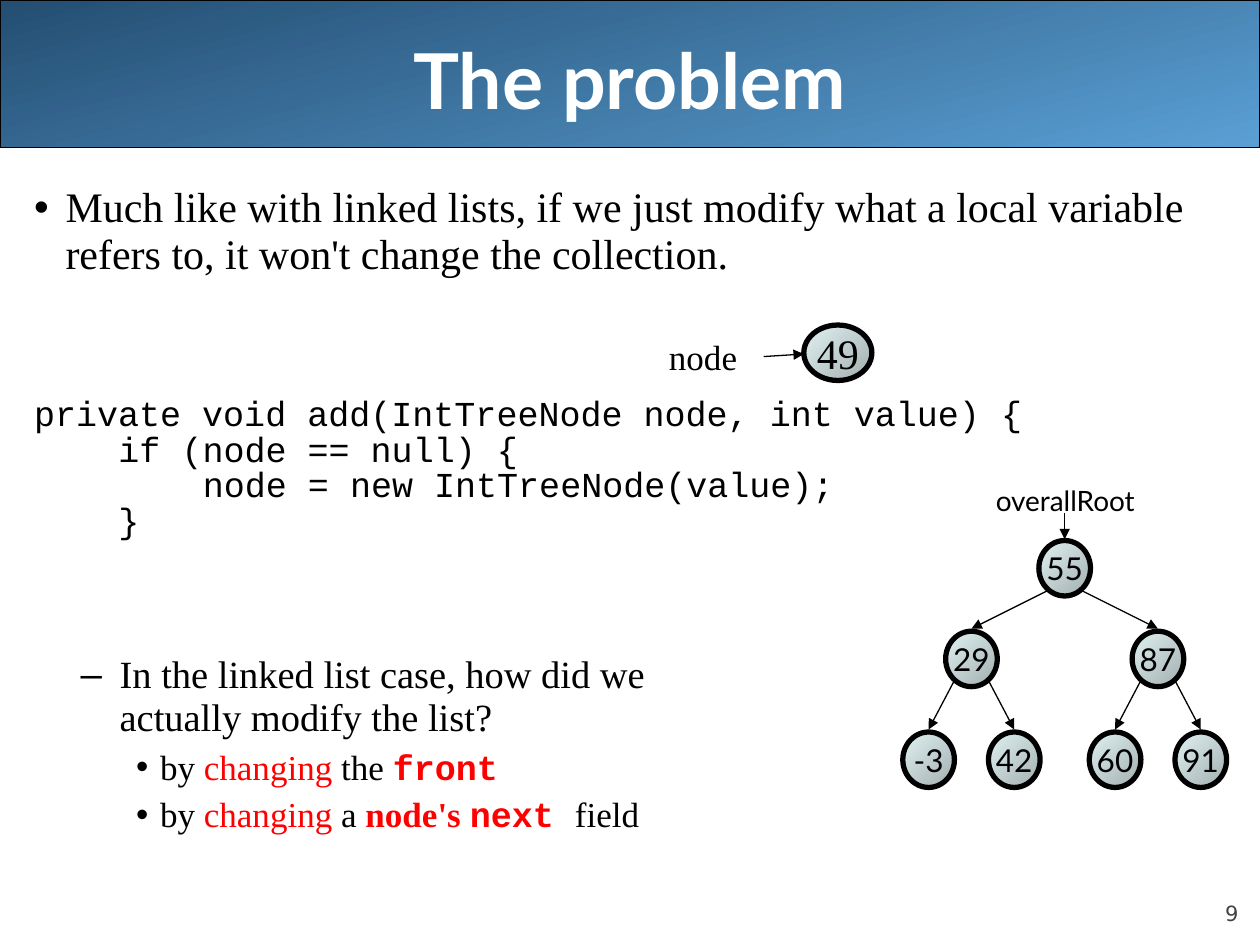
from lxml.etree import SubElement
from pptx import Presentation
from pptx.dml.color import RGBColor as RGB
from pptx.enum.shapes import MSO_CONNECTOR as Link, MSO_SHAPE as Kind
from pptx.enum.text import MSO_ANCHOR as Anchor, MSO_AUTO_SIZE as Auto, PP_ALIGN as Align
from pptx.oxml.ns import qn
from pptx.util import Inches, Pt

HUES = {
    "black": "000000", "white": "FFFFFF", "red": "FF0000", "gray": "424242",
    "navy": "244E72", "sky": "5A9FD4", "mist": "E1F2F3", "slate": "A2AFAF",
}
SERIF, MONO, SANS = "Times New Roman", "Courier New", "Lato"
STYLES = {
    "text": {"name": SERIF, "bold": False, "hue": "black"},
    "red": {"name": SERIF, "bold": False, "hue": "red"},
    "strong": {"name": SERIF, "bold": True, "hue": "red"},
    "key": {"name": MONO, "bold": True, "hue": "red"},
    "code": {"name": MONO, "bold": False, "hue": "black"},
    "tree": {"name": SANS, "bold": False, "hue": "black"},
    "title": {"name": SANS, "bold": True, "hue": "white"},
    "page": {"name": "DejaVu Sans", "bold": False, "hue": "gray"},
}
INTRO = ("Much like with linked lists, if we just modify what a local variable "
         "refers to, it won't change the collection.")
CODE = [
    (0, "private void add(IntTreeNode node, int value) {"),
    (1, "if (node == null) {"),
    (2, "node = new IntTreeNode(value);"),
    (1, "}"),
]
ASK = "In the linked list case, how did we\vactually modify the list?"
WAYS = [
    [("by ", "text"), ("changing", "red"), (" the ", "text"), ("front", "key")],
    [("by ", "text"), ("changing", "red"), (" a ", "text"),
     ("node's ", "strong"), ("next ", "key"), ("field", "text")],
]
TREE = (55, (29, (-3,), (42,)), (87, (60,), (91,)))
STEPS = [(0.74, 0.72), (0.34, 0.8)]
SIZE = (0.41, 0.44)


def color(key):
    """Return the named colour."""
    return RGB.from_string(HUES[key])


def write(para, text, style, size):
    """Add styled text to a paragraph, breaking lines at vertical tabs."""
    for i, part in enumerate(text.split("\v")):
        if i:
            para.add_line_break()
        run = para.add_run()
        run.text = part
        form = {**STYLES[style], "size": Pt(size)}
        run.font.color.rgb = color(form.pop("hue"))
        for name, value in form.items():
            setattr(run.font, name, value)


def paint(shape, start, end, angle, width):
    """Give a shape a two-colour blend and a black outline."""
    shape.shadow.inherit = False
    shape.fill.gradient()
    shape.fill.gradient_angle = 360 - angle
    for stop, key in zip(shape.fill.gradient_stops, (start, end)):
        stop.color.rgb = color(key)
    shape.line.color.rgb = color("black")
    shape.line.width = Pt(width)


def label(shapes, box, text, style, size, align=Align.CENTER):
    """Place a one-line text box."""
    frame = shapes.add_textbox(*map(Inches, box)).text_frame
    frame.word_wrap = False
    para = frame.paragraphs[0]
    para.alignment = align
    write(para, text, style, size)
    return frame


def arrow(shapes, *ends):
    """Draw a thin line with an arrowhead at its end."""
    line = shapes.add_connector(Link.STRAIGHT, *map(Inches, ends))
    line.line.color.rgb = color("black")
    line.line.width = Pt(0.75)
    props = line.element.spPr
    SubElement(props.find(qn("a:ln")), qn("a:tailEnd"), type="triangle")
    SubElement(props, qn("a:effectLst"))


def node(shapes, x, y, text, style="tree", size=18, wide=SIZE[0]):
    """Draw a tree node centred on a point."""
    high = SIZE[1]
    ball = shapes.add_shape(
        Kind.OVAL, *map(Inches, (x - wide / 2, y - high / 2, wide, high)))
    paint(ball, "mist", "slate", 45, 3)
    frame = ball.text_frame
    frame.word_wrap = False
    frame.vertical_anchor = Anchor.MIDDLE
    para = frame.paragraphs[0]
    para.alignment = Align.CENTER
    write(para, text, style, size)


def branch(shapes, x, y, tree, depth=0):
    """Draw a node and, below it, its children with arrows."""
    value, *kids = tree
    node(shapes, x, y, str(value))
    for side, kid in zip((-1, 1), kids):
        dx, dy = STEPS[depth]
        low = x + side * dx, y + dy
        arrow(shapes, x + side * 0.14, y + 0.18, low[0], low[1] - 0.24)
        branch(shapes, *low, kid, depth + 1)


def add_tree(slide, left, top, wide):
    """Draw the labelled tree in its box."""
    shapes = slide.shapes.add_group_shape().shapes
    mid = left + wide / 2
    label(shapes, (mid - 0.69, top, 1.39, 0.37), "overallRoot", "tree", 16)
    arrow(shapes, mid, top + 0.28, mid, top + 0.49)
    branch(shapes, mid, top + 0.72, TREE)


def add_local(slide, left, top):
    """Draw the local variable and the node it refers to."""
    shapes = slide.shapes.add_group_shape().shapes
    label(shapes, (left, top + 0.03, 0.74, 0.44), "node", "text", 20)
    node(shapes, left + 1.44, top + 0.22, "49", "text", 24, 0.54)
    arrow(shapes, left + 0.85, top + 0.25, left + 1.17, top + 0.23)


def add_head(slide, wide, high):
    """Lay the title over its band."""
    band = slide.shapes.add_shape(
        Kind.ROUNDED_RECTANGLE, 0, 0, Inches(wide), Inches(high))
    band.adjustments[0] = 0
    paint(band, "navy", "sky", 75, 0.75)
    slide.shapes.element.insert(2, band.element)
    title = slide.shapes.title
    place(title, 0.5, 0, wide - 1, 1.25)
    title.text_frame.vertical_anchor = Anchor.MIDDLE
    para = title.text_frame.paragraphs[0]
    para.alignment = Align.CENTER
    write(para, "The problem", "title", 44)


def place(shape, *box):
    """Move a placeholder to its box."""
    for name, value in zip(("left", "top", "width", "height"), box):
        setattr(shape, name, Inches(value))


def add_body(slide, *box):
    """Fill the body with the point, the code and the question."""
    body = slide.placeholders[1]
    place(body, *box)
    frame = body.text_frame
    frame.auto_size = Auto.NONE
    frame.word_wrap = True
    rows = [(0, 0.25, -0.25, 0.93, 6, 24, [(INTRO, "text")])]
    rows += [(0, 0.67 * deep, 0, 0.64, 5 if i else 72, 20, [(text, "code")])
             for i, (deep, text) in enumerate(CODE)]
    rows += [(1, 0.68, -0.31, 0.93, 66, 22, [(ASK, "text")])]
    rows += [(2, 1, -0.19, 0.93, 5, 20, way) for way in WAYS]
    for i, (level, left, hang, pitch, gap, size, runs) in enumerate(rows):
        para = frame.add_paragraph() if i else frame.paragraphs[0]
        form = {"level": level, "line_spacing": pitch,
                "space_before": Pt(gap), "alignment": Align.LEFT}
        for name, value in form.items():
            setattr(para, name, value)
        props = para._p.get_or_add_pPr()
        props.set("marL", str(Inches(left)))
        props.set("indent", str(Inches(hang)))
        if not hang:
            SubElement(props, qn("a:buNone"))
        for text, style in runs:
            write(para, text, style, size)


def add_page(slide, *box):
    """Set the page number at the lower right."""
    frame = label(slide.shapes, box, "9", "page", 12, Align.RIGHT)
    form = {"word_wrap": True, "vertical_anchor": Anchor.BOTTOM, "margin_left": 0,
            "margin_right": 0, "margin_top": 0, "margin_bottom": 0}
    for name, value in form.items():
        setattr(frame, name, value)


def main():
    """Build the slide and save it."""
    deck = Presentation()
    deck.slide_width, deck.slide_height = Inches(10), Inches(7.5)
    slide = deck.slides.add_slide(deck.slide_layouts[1])
    add_head(slide, 10, 1.17)
    add_body(slide, 0.17, 1.42, 9.83, 5.67)
    add_tree(slide, 7.16, 3.79, 2.58)
    add_local(slide, 5.21, 2.58)
    add_page(slide, 9, 6.95, 0.83, 0.4)
    deck.save("out.pptx")


if __name__ == "__main__":
    main()
